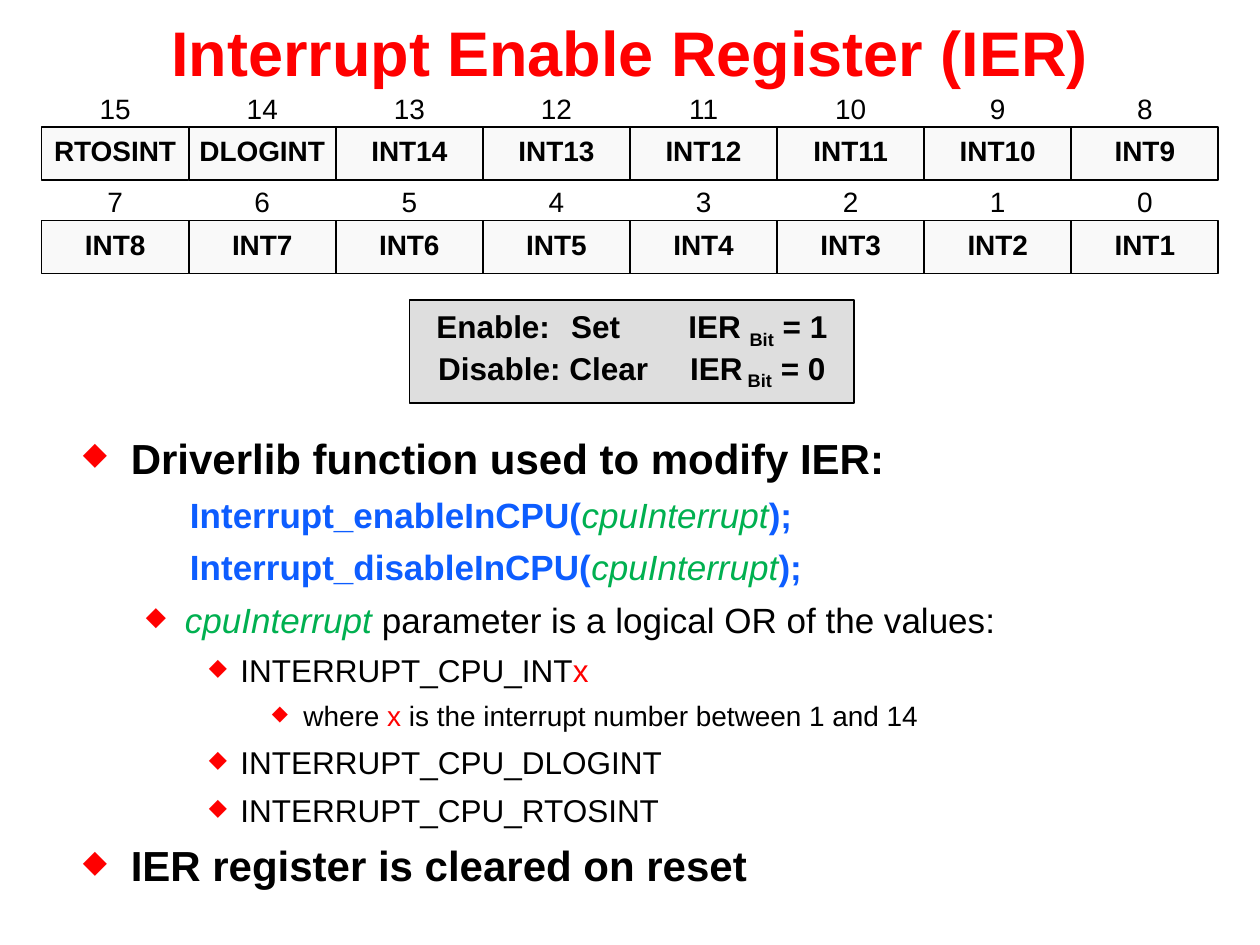
from dataclasses import dataclass
from typing import NamedTuple

from lxml import etree
from pptx import Presentation
from pptx.dml.color import RGBColor
from pptx.enum.shapes import MSO_SHAPE
from pptx.enum.text import MSO_ANCHOR, MSO_AUTO_SIZE, PP_ALIGN
from pptx.oxml.ns import qn
from pptx.util import Inches, Pt

RECT = MSO_SHAPE.RECTANGLE
CENTER = PP_ALIGN.CENTER
MIDDLE = MSO_ANCHOR.MIDDLE
FIT_SHAPE = MSO_AUTO_SIZE.SHAPE_TO_FIT_TEXT


@dataclass(frozen=True)
class Theme:
    font: str = "Arial"
    black: str = "000000"
    red: str = "FF0000"
    blue: str = "0D5DFF"
    green: str = "00B050"
    cell: str = "F9F9F9"
    callout: str = "DEDEDE"
    title_size: int = 36
    heading_size: int = 24
    body_size: int = 20
    item_size: int = 18
    small_size: int = 16


T = Theme()


class Span(NamedTuple):
    text: str
    color: str = T.black
    bold: bool = False
    italic: bool = False
    baseline: int = 0


class Line(NamedTuple):
    spans: list[Span]
    size: int
    level: int = 0
    left: float = 0.38
    hanging: float = 0.38
    bullet: bool = True


class Register(NamedTuple):
    top: float
    high_bit: int
    names: list[str]


def add_spans(p, spans: list[Span], size: int) -> None:
    for span in spans:
        r = p.add_run()
        r.text = span.text
        font = r.font
        font.name, font.size = T.font, Pt(size)
        font.bold, font.italic = span.bold, span.italic
        font.color.rgb = RGBColor.from_string(span.color)
        if span.baseline:
            r._r.get_or_add_rPr().set("baseline", str(span.baseline * 1000))


def add_centered(p, spans: list[Span], size: int, spacing: float) -> None:
    """Centred line with half a line of space before it."""
    p.alignment = CENTER
    p.line_spacing = spacing
    before = etree.SubElement(p._p.get_or_add_pPr(), qn("a:spcBef"))
    etree.SubElement(before, qn("a:spcPct")).set("val", "50000")
    add_spans(p, spans, size)


def set_indent(p, line: Line) -> None:
    pPr = p._p.get_or_add_pPr()
    pPr.set("marL", str(Inches(line.left)))
    pPr.set("indent", str(-Inches(line.hanging)))
    if not line.bullet:
        etree.SubElement(pPr, qn("a:buNone"))
        return
    color = etree.SubElement(pPr, qn("a:buClr"))
    etree.SubElement(color, qn("a:srgbClr")).set("val", T.red)
    etree.SubElement(pPr, qn("a:buSzPct")).set("val", "75000")
    etree.SubElement(pPr, qn("a:buChar")).set("char", "◆")


def add_box(shapes, x: float, y: float, w: float, h: float, fill: str):
    sp = shapes.add_shape(RECT, Inches(x), Inches(y), Inches(w), Inches(h))
    sp.shadow.inherit = False
    sp.fill.solid()
    sp.fill.fore_color.rgb = RGBColor.from_string(fill)
    sp.line.color.rgb = RGBColor.from_string(T.black)
    sp.line.width = Pt(1)
    tf = sp.text_frame
    tf.word_wrap = False
    tf.vertical_anchor = MIDDLE
    return tf


def add_text(shapes, x: float, y: float, w: float, h: float, wrap: bool = True):
    tf = shapes.add_textbox(Inches(x), Inches(y), Inches(w), Inches(h)).text_frame
    tf.word_wrap = wrap
    return tf


def add_register(s, register: Register) -> None:
    left, width = 0.33, 9.34 / 8
    shapes = s.shapes.add_group_shape().shapes
    for i, name in enumerate(register.names):
        x = left + i * width
        tf = add_box(shapes, x, register.top, width, 0.42, T.cell)
        add_centered(tf.paragraphs[0], [Span(name, bold=True)], T.small_size, 0.8)

        # Bit number centred above its cell
        bit = str(register.high_bit - i)
        label_w = 0.19 + 0.13 * len(bit)
        tf = add_text(shapes, x + (width - label_w) / 2, register.top - 0.28,
                      label_w, 0.31, wrap=False)
        tf.auto_size = FIT_SHAPE
        add_centered(tf.paragraphs[0], [Span(bit)], T.small_size, 0.8)


def heading(text: str) -> Line:
    return Line([Span(text, bold=True)], T.heading_size)


def call(function: str) -> Line:
    return Line([Span(f"{function}(", T.blue, bold=True),
                 Span("cpuInterrupt", T.green, italic=True),
                 Span(");", T.blue, bold=True)],
                T.body_size, left=0.85, hanging=0, bullet=False)


def item(*spans: Span) -> Line:
    return Line(list(spans), T.item_size, 2, 1.25, 0.25)


REGISTERS = [
    Register(1.01, 15, ["RTOSINT", "DLOGINT"] + [f"INT{n}" for n in range(14, 8, -1)]),
    Register(1.75, 7, [f"INT{n}" for n in range(8, 0, -1)]),
]
CALLOUT = [("Enable: \t Set \tIER ", "Bit", " = 1"),
           ("Disable: Clear\tIER", " Bit", " = 0")]
BODY = [
    heading("Driverlib function used to modify IER:"),
    call("Interrupt_enableInCPU"),
    call("Interrupt_disableInCPU"),
    Line([Span("cpuInterrupt ", T.green, italic=True),
          Span("parameter is a logical OR of the values:")], T.body_size, 1, 0.81, 0.31),
    item(Span("INTERRUPT_CPU_INT"), Span("x", T.red)),
    Line([Span("where "), Span("x", T.red),
          Span(" is the interrupt number between 1 and 14")], T.small_size, 3, 1.75, 0.25),
    item(Span("INTERRUPT_CPU_DLOGINT")),
    item(Span("INTERRUPT_CPU_RTOSINT")),
    heading("IER register is cleared on reset"),
]

prs = Presentation()
prs.slide_width, prs.slide_height = Inches(10), Inches(7.5)
s = prs.slides.add_slide(prs.slide_layouts[6])

# Title
tf = add_text(s.shapes, 0, 0, 10, 0.81)
tf.vertical_anchor = MIDDLE
tf.paragraphs[0].alignment = CENTER
add_spans(tf.paragraphs[0],
          [Span("Interrupt Enable Register (IER)", T.red, bold=True)], T.title_size)

# Register bits
for register in REGISTERS:
    add_register(s, register)

# Enable and disable values
tf = add_box(s.shapes, 3.25, 2.38, 3.53, 0.82, T.callout)
for i, (action, sub, value) in enumerate(CALLOUT):
    p = tf.add_paragraph() if i else tf.paragraphs[0]
    add_centered(p, [Span(action, bold=True), Span(sub, bold=True, baseline=-25),
                     Span(value, bold=True)], T.item_size, 0.6)

# Explanation
tf = add_text(s.shapes, 0.56, 3.38, 8.9, 3.92)
for i, line in enumerate(BODY):
    p = tf.add_paragraph() if i else tf.paragraphs[0]
    p.level = line.level
    p.space_before = Pt(6)
    set_indent(p, line)
    add_spans(p, line.spans, line.size)

prs.save("out.pptx")
